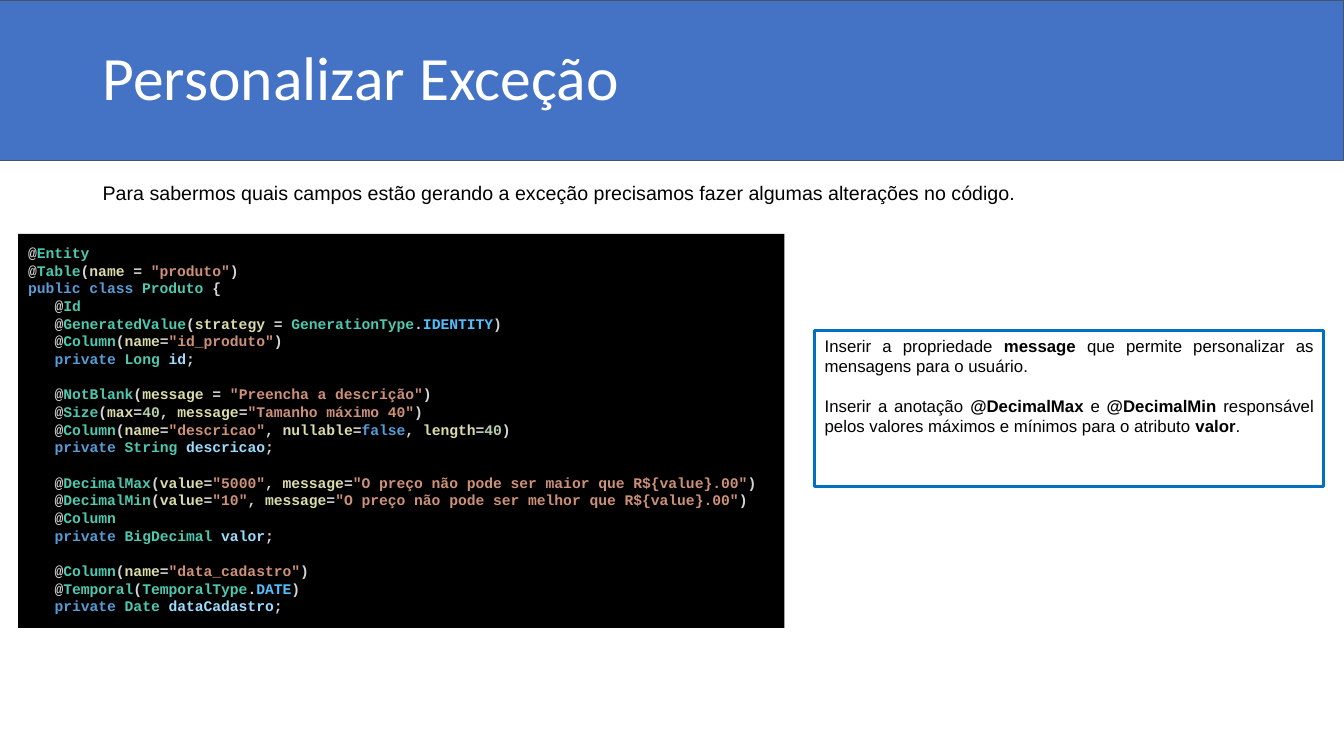
from dataclasses import dataclass
from itertools import groupby

from pptx import Presentation
from pptx import util as u
from pptx.dml.color import RGBColor
from pptx.enum import shapes, text


@dataclass(frozen=True)
class Theme:
    # Colours
    band: str = "4472C4"
    band_edge: str = "44546A"
    light: str = "FFFFFF"
    dark: str = "000000"
    accent: str = "0070C0"
    mark: str = "D4D4D4"
    keyword: str = "569CD6"
    type_name: str = "4EC9B0"
    parameter: str = "DCDCAA"
    literal: str = "CE9178"
    constant: str = "4FC1FF"
    number: str = "B5CEA8"
    field: str = "9CDCFE"
    # Fonts and sizes in points
    heading_font: str = "Calibri"
    body_font: str = "Arial"
    code_font: str = "Courier New"
    heading_size: float = 44
    lead_size: float = 14
    note_size: float = 12
    code_size: float = 10.5
    note_gap: float = 14.3
    code_line: float = 12.6


KEYWORDS = {"public", "class", "private", "false"}


class SlideBuilder:
    """Draws on one slide; boxes are (left, top, width, height) in percent."""

    def __init__(self, deck, theme):
        self.deck, self.theme = deck, theme
        self.slide = deck.slides.add_slide(deck.slide_layouts[6])

    def place(self, box):
        sides = (self.deck.slide_width, self.deck.slide_height) * 2
        return [round(side * share / 100) for side, share in zip(sides, box)]

    def panel(self, box, fill=None, edge=None, weight=0):
        panel = self.slide.shapes.add_shape(
            shapes.MSO_SHAPE.RECTANGLE, *self.place(box))
        panel.shadow.inherit = False
        if fill:
            panel.fill.solid()
            panel.fill.fore_color.rgb = RGBColor.from_string(fill)
        else:
            panel.fill.background()
        if edge:
            panel.line.color.rgb = RGBColor.from_string(edge)
            panel.line.width = u.Pt(weight)
        else:
            panel.line.fill.background()
        frame = panel.text_frame
        frame.word_wrap = True
        frame.vertical_anchor = text.MSO_ANCHOR.TOP
        return frame

    def add_spans(self, paragraph, spans, font, size):
        """Adds runs from (wording, colour, bold) spans."""
        for wording, colour, bold in spans:
            run = paragraph.add_run()
            run.text = wording
            run.font.name, run.font.size, run.font.bold = font, u.Pt(size), bold
            run.font.color.rgb = RGBColor.from_string(colour)

    def label(self, box, wording, font, size, colour, align, middle=False):
        frame = self.slide.shapes.add_textbox(*self.place(box)).text_frame
        frame.word_wrap = True
        if middle:
            frame.vertical_anchor = text.MSO_ANCHOR.MIDDLE
        line = frame.paragraphs[0]
        line.alignment = align
        self.add_spans(line, [(wording, colour, False)], font, size)
        return line

    def note(self, box, notes):
        """Framed remarks; wording between asterisks is bold."""
        theme = self.theme
        frame = self.panel(box, edge=theme.accent, weight=2.25)
        for order, remark in enumerate(notes):
            line = frame.add_paragraph() if order else frame.paragraphs[0]
            line.alignment = text.PP_ALIGN.JUSTIFY
            line.space_before = u.Pt(theme.note_gap if order else 0)
            spans = [(part, theme.dark, bool(i % 2))
                     for i, part in enumerate(remark.split("*"))]
            self.add_spans(line, spans, theme.body_font, theme.note_size)

    def word_colour(self, word, declares):
        theme = self.theme
        if word in KEYWORDS:
            return theme.keyword
        if word.isdigit():
            return theme.number
        if word.isupper():
            return theme.constant
        if word[0].isupper():
            return theme.type_name
        return theme.field if declares else theme.parameter

    def highlight(self, source):
        theme, spans = self.theme, []
        declares = source.startswith("private")
        for order, part in enumerate(source.split('"')):
            if order % 2:
                spans.append((f'"{part}"', theme.literal, True))
                continue
            for is_word, letters in groupby(part, str.isalnum):
                token = "".join(letters)
                colour = self.word_colour(token, declares) if is_word else theme.mark
                spans.append((token, colour, True))
        return spans

    def code(self, box, header, members):
        theme = self.theme
        frame = self.panel(box, fill=theme.dark)
        frame.margin_top = frame.margin_bottom = u.Inches(0.1)
        indent = u.Pt(3 * 0.6 * theme.code_size)  # three characters
        rows = [(source, 0, 0) for source in header]
        for group, member in enumerate(members):
            rows += [(source, indent, theme.code_line if group and not i else 0)
                     for i, source in enumerate(member)]
        for order, (source, margin, gap) in enumerate(rows):
            line = frame.add_paragraph() if order else frame.paragraphs[0]
            line.alignment = text.PP_ALIGN.LEFT
            line.line_spacing = u.Pt(theme.code_line)
            line.space_before = u.Pt(gap)
            properties = line._p.get_or_add_pPr()
            properties.set("marL", str(int(margin)))
            properties.set("indent", "0")
            self.add_spans(line, self.highlight(source),
                           theme.code_font, theme.code_size)


CLASS_HEADER = ["@Entity", '@Table(name = "produto")', "public class Produto {"]
CLASS_MEMBERS = [
    ["@Id",
     "@GeneratedValue(strategy = GenerationType.IDENTITY)",
     '@Column(name="id_produto")',
     "private Long id;"],
    ['@NotBlank(message = "Preencha a descrição")',
     '@Size(max=40, message="Tamanho máximo 40")',
     '@Column(name="descricao", nullable=false, length=40)',
     "private String descricao;"],
    ['@DecimalMax(value="5000", message="O preço não pode ser maior que R${value}.00")',
     '@DecimalMin(value="10", message="O preço não pode ser melhor que R${value}.00")',
     "@Column",
     "private BigDecimal valor;"],
    ['@Column(name="data_cadastro")',
     "@Temporal(TemporalType.DATE)",
     "private Date dataCadastro;"],
]
REMARKS = [
    "Inserir a propriedade *message* que permite personalizar as mensagens "
    "para o usuário.",
    "Inserir a anotação *@DecimalMax *e* @DecimalMin *responsável pelos valores "
    "máximos e mínimos para o atributo *valor*.",
]


def main():
    deck = Presentation()
    deck.slide_width, deck.slide_height = u.Inches(13.33), u.Inches(7.5)
    theme = Theme()
    page = SlideBuilder(deck, theme)

    # Title band
    page.panel((0, 0, 100, 21.2), theme.band, theme.band_edge, 0.75)
    title = page.label((6.9, 0.93, 86.27, 19.33), "Personalizar Exceção",
                       theme.heading_font, theme.heading_size, theme.light,
                       text.PP_ALIGN.LEFT, middle=True)
    title.line_spacing = 0.9

    # Lead sentence
    page.label((6.9, 23.33, 70.52, 4.53),
               "Para sabermos quais campos estão gerando a exceção precisamos "
               "fazer algumas alterações no código.",
               theme.body_font, theme.lead_size, theme.dark, text.PP_ALIGN.JUSTIFY)

    # Remarks and entity class
    page.note((60.62, 43.73, 37.88, 20.67), REMARKS)
    page.code((1.35, 30.93, 57.01, 52.13), CLASS_HEADER, CLASS_MEMBERS)

    deck.save("out.pptx")


if __name__ == "__main__":
    main()
